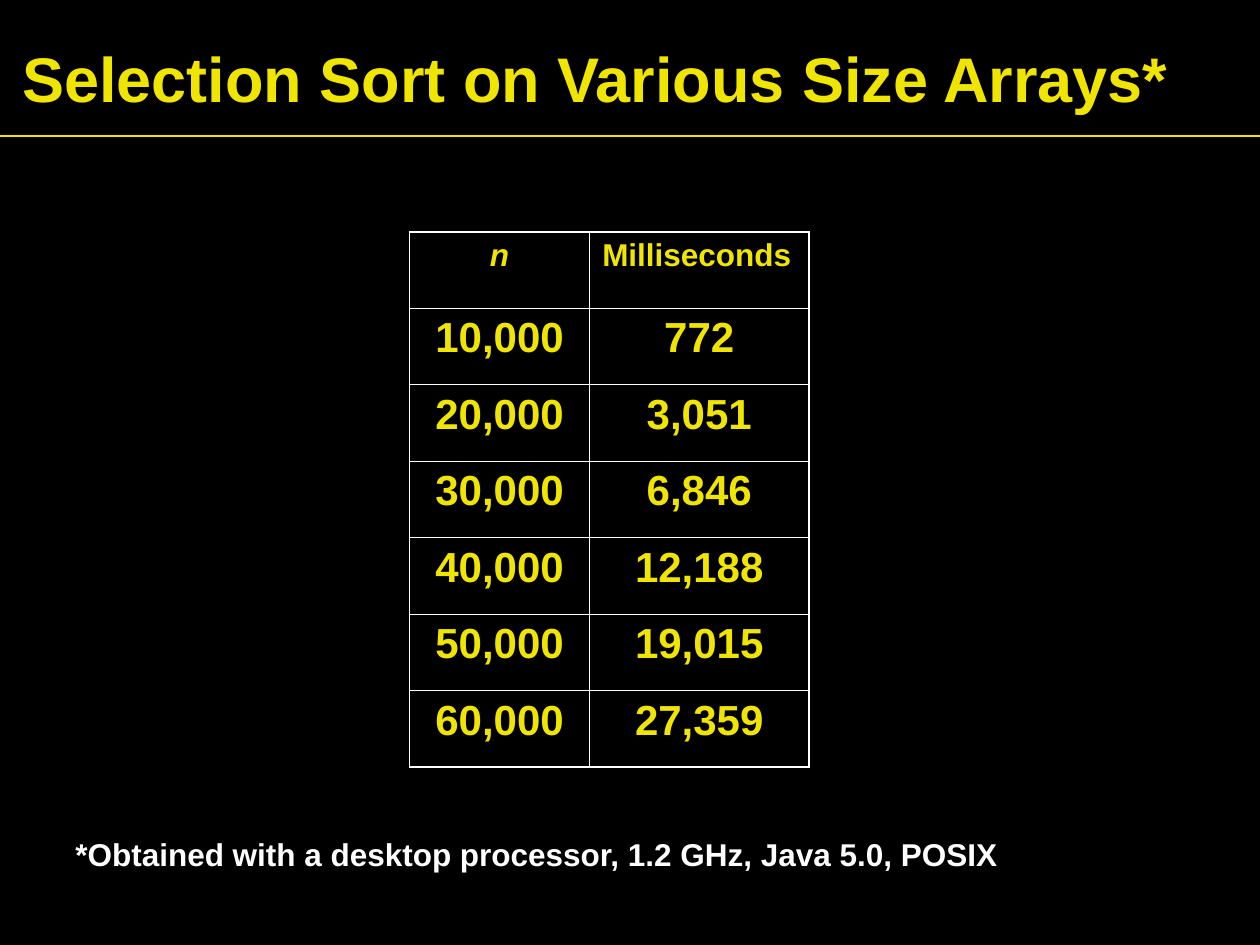
from lxml.etree import SubElement as Sub
from pptx import Presentation
from pptx.dml.color import RGBColor
from pptx.enum.shapes import MSO_CONNECTOR as Link
from pptx.enum.text import MSO_ANCHOR as Anchor, MSO_AUTO_SIZE as Fit, PP_ALIGN as Align
from pptx.oxml.ns import qn
from pptx.util import Inches, Pt

# Content
TITLE = "Selection Sort on Various Size Arrays*"
NOTE = "*Obtained with a desktop processor, 1.2 GHz, Java 5.0, POSIX"
HEAD = ("n", "Milliseconds")
TIMES = [
    ("10,000", "772"),
    ("20,000", "3,051"),
    ("30,000", "6,846"),
    ("40,000", "12,188"),
    ("50,000", "19,015"),
    ("60,000", "27,359"),
]
ROWS = [HEAD] + TIMES

# Look
BLACK, WHITE, YELLOW = "000000", "FFFFFF", "F0E500"
FONT = "Arial"
LEFT, TOP = 3.25, 1.84
COLS = (1.43, 1.74)
STEP = 4.25 / len(ROWS)
THICK, THIN = 1.08, 0.45


def color(code):
    return RGBColor.from_string(code)


def write(frame, text, size=18, ink=YELLOW, align=Align.LEFT, before=0, italic=False):
    para = frame.paragraphs[0]
    para.alignment = align
    para.space_before = Pt(before)
    run = para.add_run()
    run.text = text
    font = run.font
    font.name, font.size, font.bold, font.italic = FONT, Pt(size), True, italic
    font.color.rgb = color(ink)


def add_box(slide, x, y, w, h):
    frame = slide.shapes.add_textbox(*map(Inches, (x, y, w, h))).text_frame
    frame.word_wrap = True
    return frame


def add_edges(cell, widths):
    props = cell._tc.get_or_add_tcPr()
    for i, (side, width) in enumerate(widths):
        line = Sub(props, qn("a:ln" + side), w=str(int(Pt(width))))
        fill = Sub(line, qn("a:solidFill"))
        Sub(fill, qn("a:srgbClr"), val=WHITE)
        props.insert(i, line)


deck = Presentation()
deck.slide_width, deck.slide_height = Inches(10), Inches(7.5)
slide = deck.slides.add_slide(deck.slide_layouts[6])
back = slide.background.fill
back.solid()
back.fore_color.rgb = color(BLACK)

# Title and the rule below it
title = add_box(slide, 0.08, 0.3, 9.92, 0.62)
title.vertical_anchor = Anchor.MIDDLE
write(title, TITLE, size=36)
rule = slide.shapes.add_connector(Link.STRAIGHT, 0, Inches(1.08), Inches(10), Inches(1.08))
rule.line.color.rgb = color(YELLOW)
rule.line.width = Pt(1.5)
Sub(rule._element.spPr, qn("a:effectLst"))

# Table of times, with a thicker outer edge
grid = slide.shapes.add_table(
    len(ROWS), len(COLS), Inches(LEFT), Inches(TOP),
    Inches(sum(COLS)), Inches(STEP * len(ROWS))).table
grid.first_row = grid.horz_banding = False
for col, width in zip(grid.columns, COLS):
    col.width = Inches(width)
for r, row in enumerate(ROWS):
    grid.rows[r].height = Inches(STEP)
    for c, text in enumerate(row):
        cell = grid.cell(r, c)
        cell.fill.background()
        if r == 0:
            write(cell.text_frame, text, before=11.2, italic=c == 0,
                  align=Align.LEFT if c else Align.CENTER)
        else:
            write(cell.text_frame, text, size=24, before=15, align=Align.CENTER)
        outer = {"L": c == 0, "R": c == len(COLS) - 1,
                 "T": r == 0, "B": r == len(ROWS) - 1}
        add_edges(cell, [(s, THICK if out else THIN) for s, out in outer.items()])

# Footnote
note = add_box(slide, 0.5, 6.58, 9.25, 0.4)
note.auto_size = Fit.SHAPE_TO_FIT_TEXT
write(note, NOTE, ink=WHITE, before=11.2)

deck.save("out.pptx")
